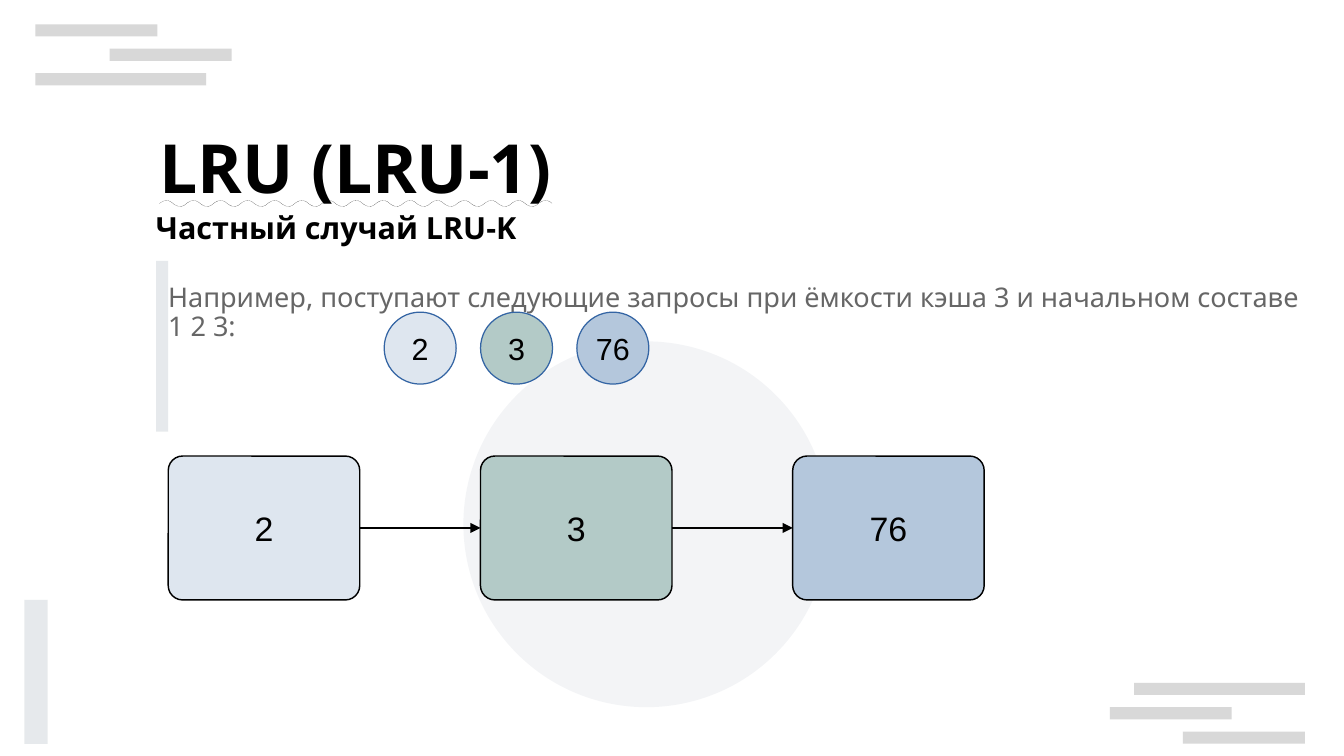
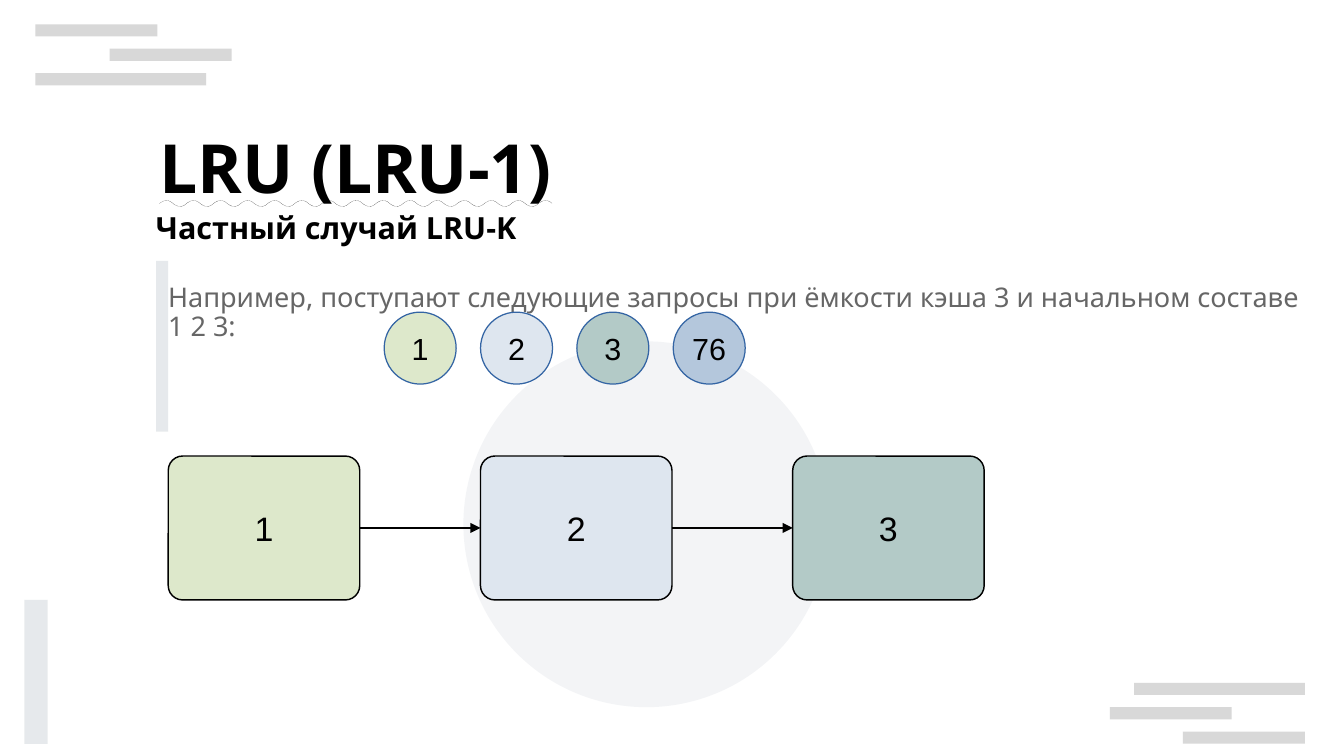
"""Build two slides that show an LRU cache handling a queue of requests."""
from dataclasses import dataclass
from typing import Any, Optional

from lxml import etree
from pptx import Presentation
from pptx.dml.color import RGBColor
from pptx.enum import shapes, text
from pptx.oxml.ns import qn
from pptx.util import Inches, Pt

BLACK = RGBColor(0x00, 0x00, 0x00)
BODY_GREY = RGBColor(0x66, 0x66, 0x66)
BAR_GREY = RGBColor(0xCC, 0xCC, 0xCC)
DISC_GREY = RGBColor(0x8D, 0x99, 0xAE)
ACCENT_GREY = RGBColor(0xCE, 0xD4, 0xDA)
RING_BLUE = RGBColor(0x34, 0x65, 0xA4)
PAGE_COLORS = {
    "1": RGBColor(0xDD, 0xE8, 0xCB),
    "2": RGBColor(0xDE, 0xE6, 0xEF),
    "3": RGBColor(0xB3, 0xCA, 0xC7),
    "76": RGBColor(0xB4, 0xC7, 0xDC),
}

RECT = shapes.MSO_SHAPE.RECTANGLE
OVAL = shapes.MSO_SHAPE.OVAL
ROUNDED = shapes.MSO_SHAPE.ROUNDED_RECTANGLE
MIDDLE = text.MSO_ANCHOR.MIDDLE
TOP = text.MSO_ANCHOR.TOP
CENTER = text.PP_ALIGN.CENTER

REQUEST_LEFT, REQUEST_TOP, REQUEST_SIZE, REQUEST_PITCH = 3.15, 2.56, 0.59, 0.79
CELL_LEFT, CELL_TOP, CELL_WIDTH, CELL_HEIGHT, CELL_PITCH = 1.38, 3.74, 1.57, 1.18, 2.56
LEFT_SITE, RIGHT_SITE = 1, 3


@dataclass(frozen=True)
class Box:
    """Position and size in inches."""
    left: float
    top: float
    width: float
    height: float

    def lengths(self) -> tuple:
        """Return the four values as lengths."""
        return tuple(Inches(v) for v in (self.left, self.top, self.width, self.height))


@dataclass(frozen=True)
class Decoration:
    """A plain translucent shape."""
    kind: Any
    box: Box
    color: RGBColor
    opacity: int


@dataclass(frozen=True)
class Label:
    """A text box with its font and anchor."""
    words: str
    box: Box
    font: dict
    anchor: Any = TOP


@dataclass(frozen=True)
class CacheState:
    """Pending requests and the pages held in the cache."""
    requests: tuple
    cells: tuple


BAR_PLACES = ((9.3, 5.6, 1.4), (9.1, 5.8, 1), (9.7, 6, 1),
              (0.29, 0.6, 1.4), (0.9, 0.4, 1), (0.29, 0.2, 1))
BACKDROP = [Decoration(RECT, Box(left, top, width, 0.1), BAR_GREY, 75)
            for left, top, width in BAR_PLACES]
BACKDROP.append(Decoration(OVAL, Box(3.8, 2.8, 3, 3), DISC_GREY, 10))
ACCENTS = (
    Decoration(RECT, Box(1.28, 2.14, 0.1, 1.4), ACCENT_GREY, 50),
    Decoration(RECT, Box(0.2, 4.92, 0.19, 1.18), ACCENT_GREY, 50),
)
WAVY = text.MSO_TEXT_UNDERLINE_TYPE.WAVY_LINE
LABELS = (
    Label("LRU (LRU-1)", Box(1.21, 0.98, 4.1, 0.85),
          {"name": "Noto Sans", "size": Pt(40), "bold": True, "underline": WAVY}, MIDDLE),
    Label("Частный случай LRU-K", Box(1.18, 1.7, 3.82, 0.46),
          {"name": "Noto Sans", "size": Pt(18), "bold": True}),
    Label("Например, поступают следующие запросы при ёмкости кэша 3 "
          "и начальном составе 1 2 3:", Box(1.28, 2.28, 9.55, 1.7),
          {"name": "Noto Sans", "size": Pt(16), "color": BODY_GREY}),
)
STATES = (
    CacheState(("2", "3", "76"), ("2", "3", "76")),
    CacheState(("1", "2", "3", "76"), ("1", "2", "3")),
)


def write(tf: Any, words: str, font: dict) -> Any:
    """Put one formatted run in a text frame and return its paragraph."""
    p = tf.paragraphs[0]
    r = p.add_run()
    r.text = words
    r.font.color.rgb = font.get("color", BLACK)
    for name, value in font.items():
        if name != "color":
            setattr(r.font, name, value)
    return p


def add_filled(s: Any, kind: Any, box: Box, color: RGBColor,
               line: Optional[tuple] = None) -> Any:
    """Add a solid shape, outlined when a line colour and width are given."""
    sp = s.shapes.add_shape(kind, *box.lengths())
    sp.shadow.inherit = False
    sp.fill.solid()
    sp.fill.fore_color.rgb = color
    if line is None:
        sp.line.fill.background()
    else:
        sp.line.color.rgb, sp.line.width = line
    return sp


def add_decoration(s: Any, item: Decoration) -> Any:
    """Add a translucent shape."""
    sp = add_filled(s, item.kind, item.box, item.color)
    color = sp.element.spPr.find(qn("a:solidFill")).find(qn("a:srgbClr"))
    etree.SubElement(color, qn("a:alpha"), val=str(item.opacity * 1000))
    return sp


def add_label(s: Any, label: Label) -> None:
    """Add a wrapped text box."""
    tf = s.shapes.add_textbox(*label.box.lengths()).text_frame
    tf.word_wrap = True
    tf.vertical_anchor = label.anchor
    write(tf, label.words, label.font).line_spacing = 0.9


def add_page(s: Any, kind: Any, box: Box, page: str, size: int,
             line: tuple, wrap: bool) -> Any:
    """Add a shape that carries a page number in the page's colour."""
    sp = add_filled(s, kind, box, PAGE_COLORS[page], line)
    tf = sp.text_frame
    for name, value in {"word_wrap": wrap, "vertical_anchor": MIDDLE}.items():
        setattr(tf, name, value)
    write(tf, page, {"name": "Arial", "size": Pt(size)}).alignment = CENTER
    return sp


def add_arrow(s: Any, start: Any, end: Any) -> None:
    """Join two cells with an arrow."""
    cxn = s.shapes.add_connector(shapes.MSO_CONNECTOR.STRAIGHT, 0, 0, 0, 0)
    cxn.begin_connect(start, RIGHT_SITE)
    cxn.end_connect(end, LEFT_SITE)
    cxn.line.color.rgb = BLACK
    cxn.line.width = Pt(0.85)
    etree.SubElement(cxn.line._get_or_add_ln(), qn("a:tailEnd"), type="triangle")
    etree.SubElement(cxn.element.spPr, qn("a:effectLst"))


def add_cache(s: Any, state: CacheState) -> None:
    """Draw the linked cache cells and the queue of requests."""
    cells = []
    for i, page in enumerate(state.cells):
        box = Box(CELL_LEFT + i * CELL_PITCH, CELL_TOP, CELL_WIDTH, CELL_HEIGHT)
        sp = add_page(s, ROUNDED, box, page, 20, (BLACK, Pt(0.85)), True)
        sp.adjustments[0] = 0.1
        cells.append(sp)
    for start, end in zip(cells, cells[1:]):
        add_arrow(s, start, end)
    for i, page in enumerate(state.requests):
        box = Box(REQUEST_LEFT + i * REQUEST_PITCH, REQUEST_TOP, REQUEST_SIZE, REQUEST_SIZE)
        add_page(s, OVAL, box, page, 18, (RING_BLUE, Pt(0)), False)


def main() -> None:
    """Build and save the presentation."""
    prs = Presentation()
    prs.slide_width, prs.slide_height = Inches(11.02), Inches(6.2)
    layout = prs.slide_layouts[6]
    for number, state in enumerate(STATES):
        s = prs.slides.add_slide(layout)
        if number == 0:
            for item in BACKDROP:
                layout.shapes.element.append(add_decoration(s, item).element)
        for label in LABELS:
            add_label(s, label)
        for item in ACCENTS:
            add_decoration(s, item)
        add_cache(s, state)
    prs.save("out.pptx")


if __name__ == "__main__":
    main()
